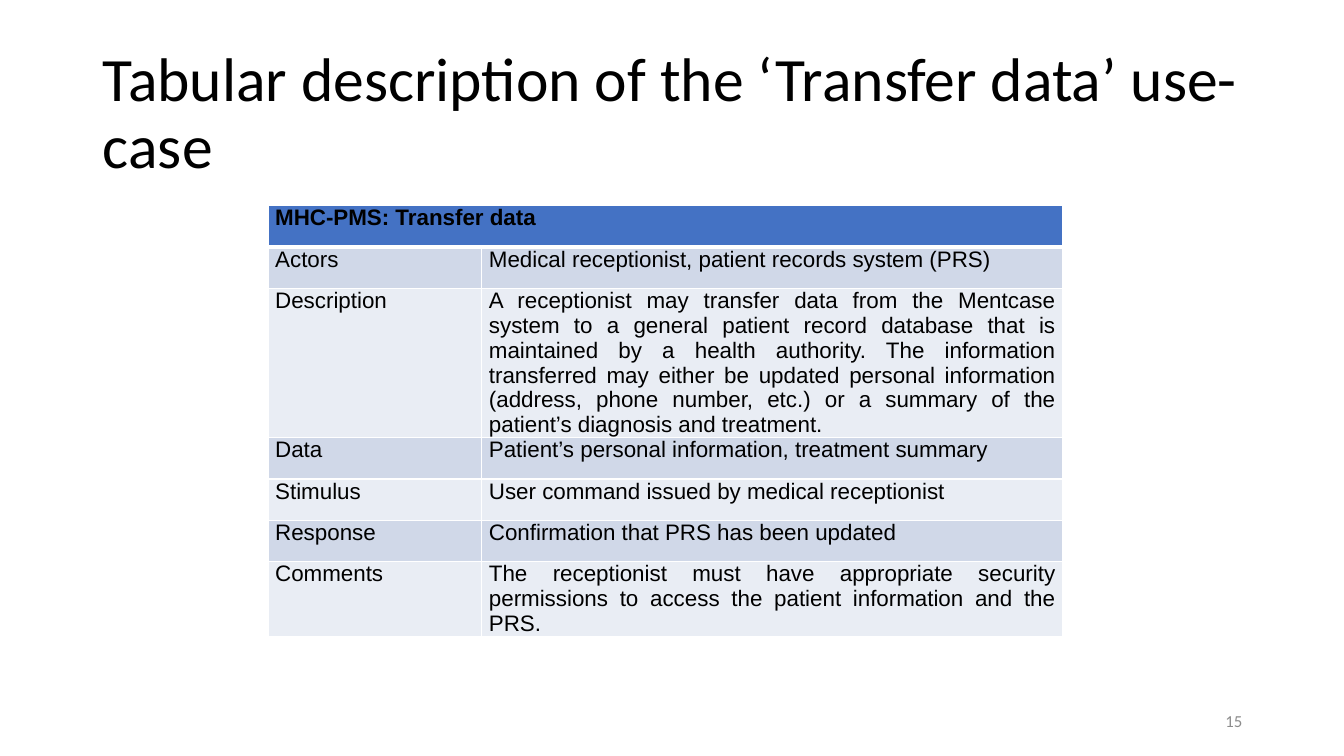
"""Build the slide with the tabular description of a use-case."""
from dataclasses import dataclass

from lxml import etree
from pptx import Presentation
from pptx.dml.color import RGBColor
from pptx.enum.text import MSO_ANCHOR, MSO_AUTO_SIZE, PP_ALIGN
from pptx.oxml.ns import qn
from pptx.util import Inches, Pt

LEFT, RIGHT, JUST = PP_ALIGN.LEFT, PP_ALIGN.RIGHT, PP_ALIGN.JUSTIFY
TOP, BOTTOM = MSO_ANCHOR.TOP, MSO_ANCHOR.BOTTOM
FIXED = MSO_AUTO_SIZE.NONE
WHITE, BLACK, GREY = "FFFFFF", "000000", "8C8C8C"
BLUE, BANDS = "4472C4", ("E9EDF4", "D0D8E8")
WIDTHS, HEIGHT = (2.12, 5.76), 0.41


@dataclass
class Row:
    name: str
    text: str = ""


ROWS = [
    Row("MHC-PMS: Transfer data"),
    Row("Actors", "Medical receptionist, patient records system (PRS)"),
    Row("Description",
        "A receptionist may transfer data from the Mentcase system to a general "
        "patient record database that is maintained by a health authority. The "
        "information transferred may either be updated personal information "
        "(address, phone number, etc.) or a summary of the patient’s diagnosis "
        "and treatment."),
    Row("Data", "Patient’s personal information, treatment summary"),
    Row("Stimulus", "User command issued by medical receptionist"),
    Row("Response", "Confirmation that PRS has been updated"),
    Row("Comments",
        "The receptionist must have appropriate security permissions to access "
        "the patient information and the PRS."),
]


def color(code: str) -> RGBColor:
    return RGBColor.from_string(code)


def write(frame, text: str, *, size: float, font: str = "Calibri", ink: str = BLACK,
          align=LEFT, bold: bool = False, space: float = 1.0) -> None:
    para = frame.paragraphs[0]
    para.alignment, para.line_spacing = align, space
    run = para.add_run()
    run.text = text
    run.font.name, run.font.size, run.font.bold = font, Pt(size), bold
    run.font.color.rgb = color(ink)


def place(shape, left: float, top: float, width: float, height: float, anchor) -> None:
    shape.left, shape.top = Inches(left), Inches(top)
    shape.width, shape.height = Inches(width), Inches(height)
    frame = shape.text_frame
    frame.word_wrap, frame.auto_size = True, FIXED
    frame.vertical_anchor = anchor
    frame.margin_left = frame.margin_right = Inches(0.1)
    frame.margin_top = frame.margin_bottom = Inches(0.05)


def border(cell, side: str, width: float) -> None:
    props = cell._tc.get_or_add_tcPr()
    line = etree.SubElement(props, qn(f"a:ln{side}"), w=str(Pt(width)))
    fill = etree.SubElement(line, qn("a:solidFill"))
    etree.SubElement(fill, qn("a:srgbClr"), val=WHITE)


def style(cell, index: int) -> None:
    cell.margin_left = cell.margin_right = Inches(0.07)
    cell.margin_top = cell.margin_bottom = 0
    cell.vertical_anchor = TOP
    for side in "LRTB":
        thick = (index, side) in ((0, "B"), (1, "T"))
        border(cell, side, 3 if thick else 1)
    cell.fill.solid()
    cell.fill.fore_color.rgb = color(BANDS[index % 2] if index else BLUE)


def add_grid(slide, rows: list[Row]) -> None:
    table = slide.shapes.add_table(
        len(rows), len(WIDTHS), Inches(2.66), Inches(2.04),
        Inches(sum(WIDTHS)), Inches(HEIGHT * len(rows))).table
    for col, width in zip(table.columns, WIDTHS):
        col.width = Inches(width)
    for index, row in enumerate(rows):
        table.rows[index].height = Inches(HEIGHT)
        for col, text in enumerate((row.name, row.text)):
            cell = table.cell(index, col)
            style(cell, index)
            if text:
                write(cell.text_frame, text, size=16, font="Arial", align=JUST,
                      bold=index == 0)
    table.cell(0, 0).merge(table.cell(0, 1))


def main() -> None:
    deck = Presentation()
    deck.slide_width, deck.slide_height = Inches(13.33), Inches(7.5)
    slide = deck.slides.add_slide(deck.slide_layouts[5])
    title = slide.shapes.title
    place(title, 0.92, 0.4, 11.5, 1.45, BOTTOM)
    write(title.text_frame, "Tabular description of the ‘Transfer data’ use-case",
          size=44, space=0.9)
    add_grid(slide, ROWS)
    number = slide.shapes.add_textbox(0, 0, 0, 0)
    place(number, 9.42, 6.95, 3, 0.4, MSO_ANCHOR.MIDDLE)
    write(number.text_frame, "15", size=12, ink=GREY, align=RIGHT)
    deck.save("out.pptx")


if __name__ == "__main__":
    main()
